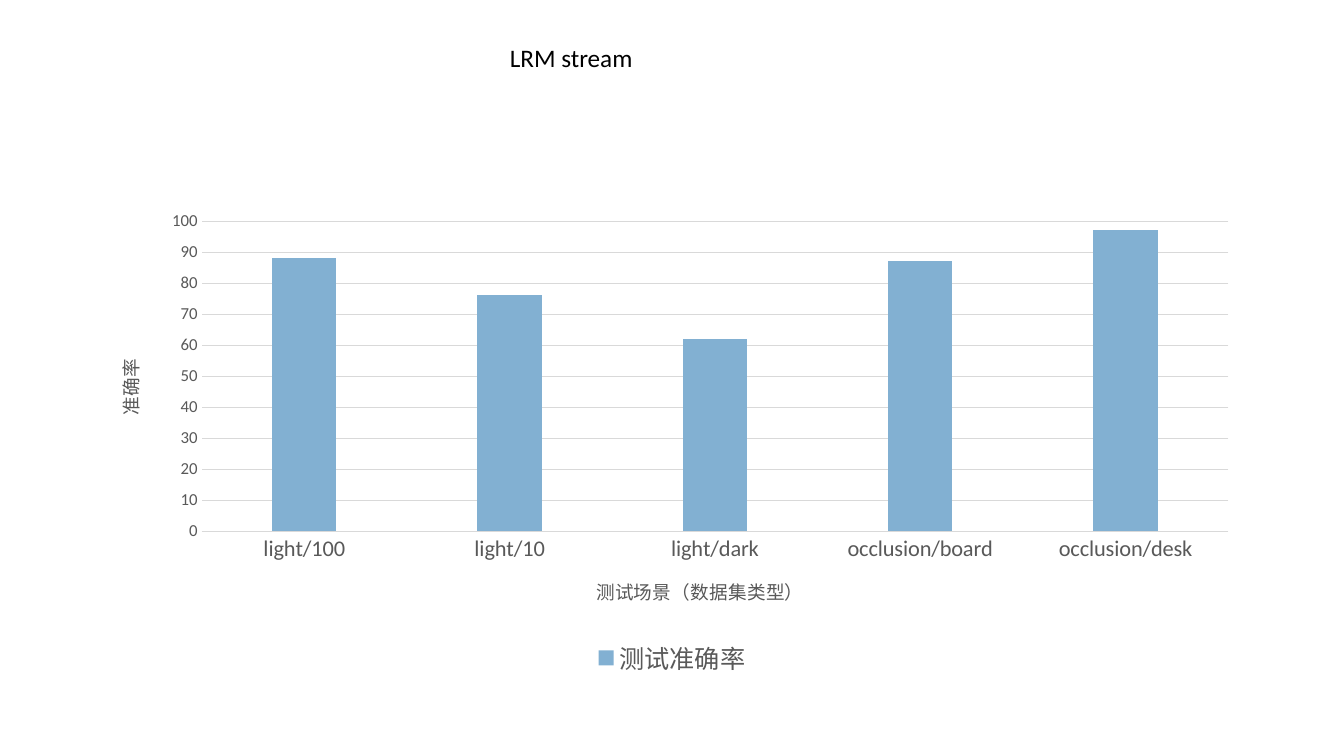
from pptx import Presentation
from pptx.chart.data import CategoryChartData
from pptx.dml.color import RGBColor
from pptx.enum.chart import XL_CHART_TYPE, XL_LEGEND_POSITION, XL_TICK_MARK
from pptx.enum.text import MSO_AUTO_SIZE
from pptx.util import Cm, Pt

COLORS = {"text": "000000", "label": "595959", "grid": "D9D9D9", "bar": "82B0D2"}
ACCURACY = {
    "light/100": 88,
    "light/10": 76,
    "light/dark": 62,
    "occlusion/board": 87,
    "occlusion/desk": 97,
}


class SlideBuilder:
    """Hold the current slide and its style, and add elements to it."""

    def __init__(self, slide, font_name):
        self.slide = slide
        self.font_name = font_name

    def style_font(self, font, size, color):
        font.name = self.font_name
        font.size = Pt(size)
        font.bold = False
        font.color.rgb = RGBColor.from_string(COLORS[color])

    def style_line(self, line):
        line.color.rgb = RGBColor.from_string(COLORS["grid"])
        line.width = Pt(0.75)

    def add_text(self, text, left, top, width, height, size):
        shape = self.slide.shapes.add_textbox(Cm(left), Cm(top), Cm(width), Cm(height))
        text_frame = shape.text_frame
        text_frame.word_wrap = True
        text_frame.auto_size = MSO_AUTO_SIZE.SHAPE_TO_FIT_TEXT
        text_frame.text = text
        self.style_font(text_frame.paragraphs[0].runs[0].font, size, "text")

    def style_axis(self, axis, title, size):
        axis.major_tick_mark = XL_TICK_MARK.NONE
        axis.minor_tick_mark = XL_TICK_MARK.NONE
        self.style_font(axis.tick_labels.font, size, "label")
        text_frame = axis.axis_title.text_frame
        text_frame.text = title
        self.style_font(text_frame.paragraphs[0].runs[0].font, 13.3, "label")

    def add_column_chart(self, name, values, category_title, value_title,
                         left, top, width, height):
        data = CategoryChartData()
        data.categories = list(values)
        data.add_series(name, list(values.values()))
        chart = self.slide.shapes.add_chart(
            XL_CHART_TYPE.COLUMN_CLUSTERED,
            Cm(left), Cm(top), Cm(width), Cm(height), data,
        ).chart
        self.style_font(chart.font, 10, "text")
        chart.has_title = False
        chart.has_legend = True
        chart.legend.position = XL_LEGEND_POSITION.BOTTOM
        chart.legend.include_in_layout = False
        self.style_font(chart.legend.font, 18, "label")

        plot = chart.plots[0]
        plot.vary_by_categories = False
        plot.gap_width = 219
        plot.overlap = -27
        fill = plot.series[0].format.fill
        fill.solid()
        fill.fore_color.rgb = RGBColor.from_string(COLORS["bar"])

        self.style_axis(chart.category_axis, category_title, 16)
        self.style_line(chart.category_axis.format.line)
        value_axis = chart.value_axis
        self.style_axis(value_axis, value_title, 12)
        value_axis.format.line.fill.background()
        value_axis.minimum_scale = 0
        value_axis.maximum_scale = 100
        value_axis.major_unit = 10
        self.style_line(value_axis.major_gridlines.format.line)


def main():
    presentation = Presentation()
    presentation.slide_width = Cm(33.87)
    presentation.slide_height = Cm(19.05)
    slide = presentation.slides.add_slide(presentation.slide_layouts[6])
    builder = SlideBuilder(slide, "Calibri")
    builder.add_column_chart("测试准确率", ACCURACY, "测试场景（数据集类型）", "准确率",
                             2.33, 5.08, 29.21, 12.09)
    builder.add_text("LRM stream", 12.6, 0.94, 4.34, 1.02, 18)
    presentation.save("out.pptx")


if __name__ == "__main__":
    main()
